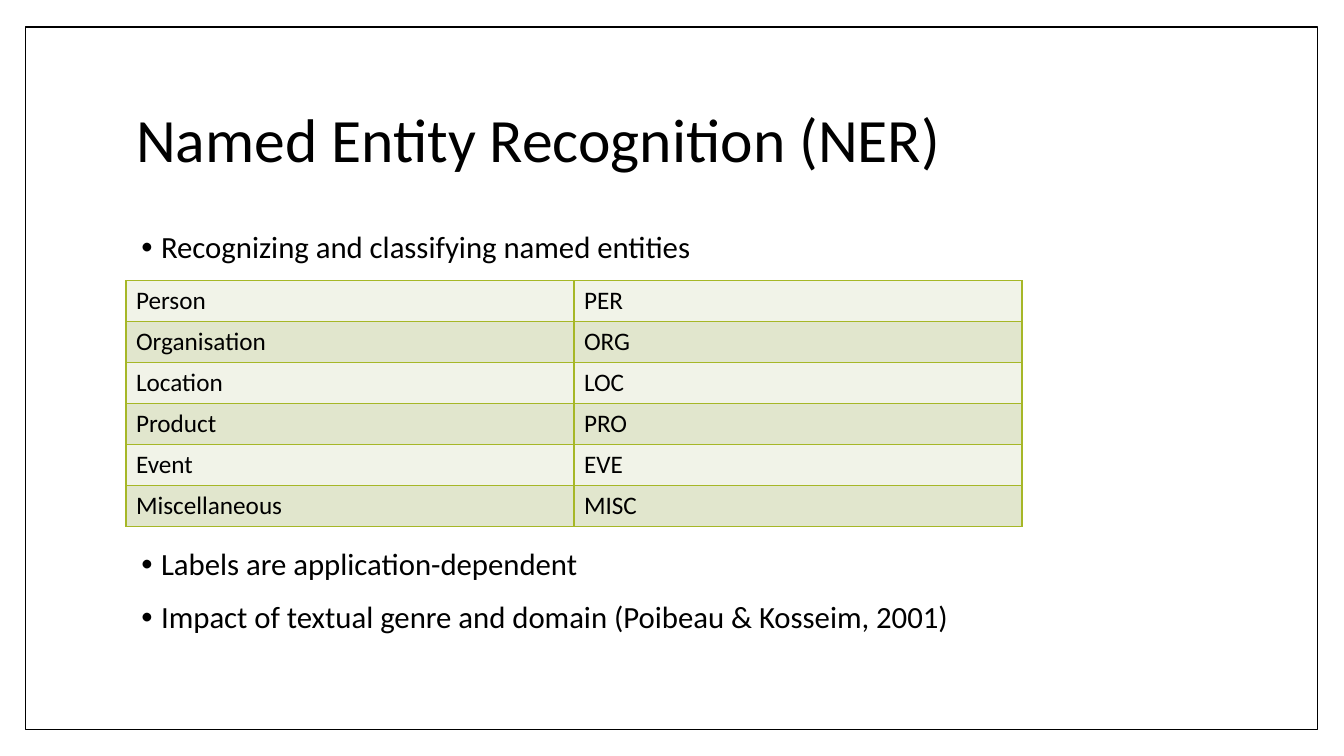
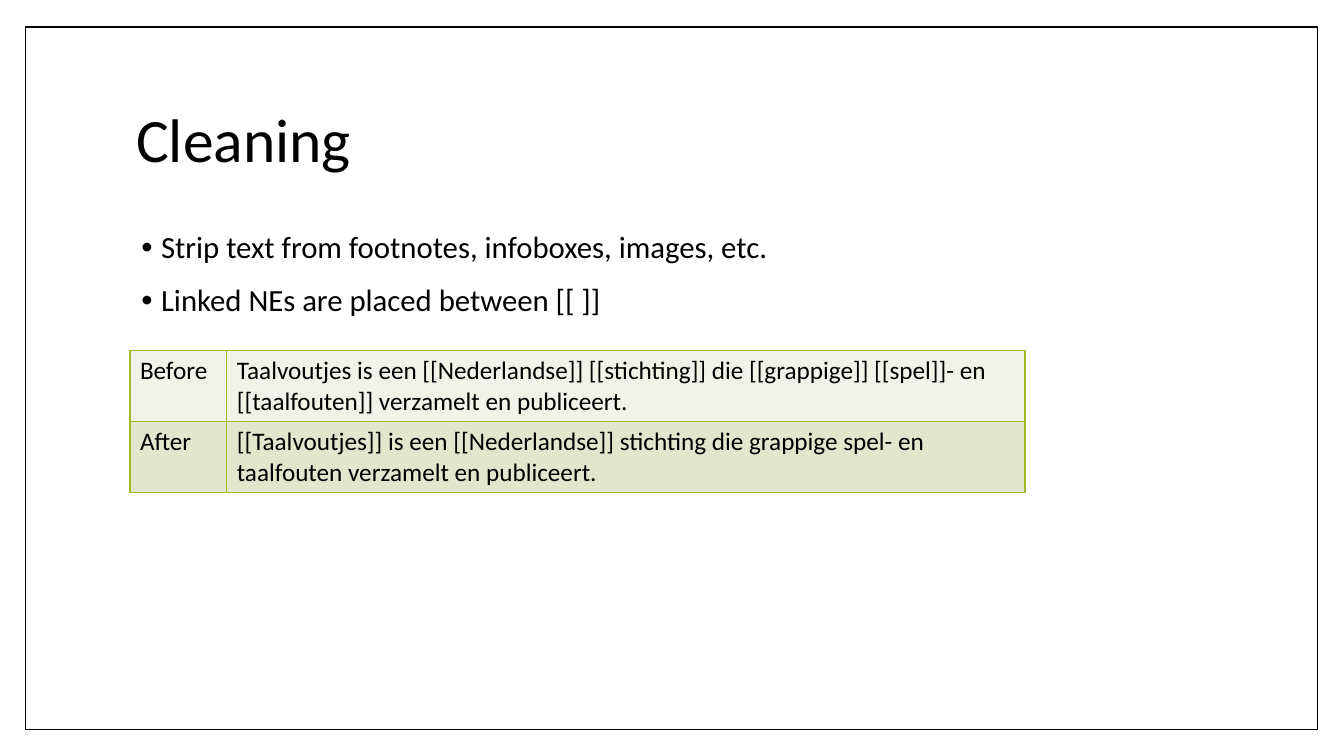
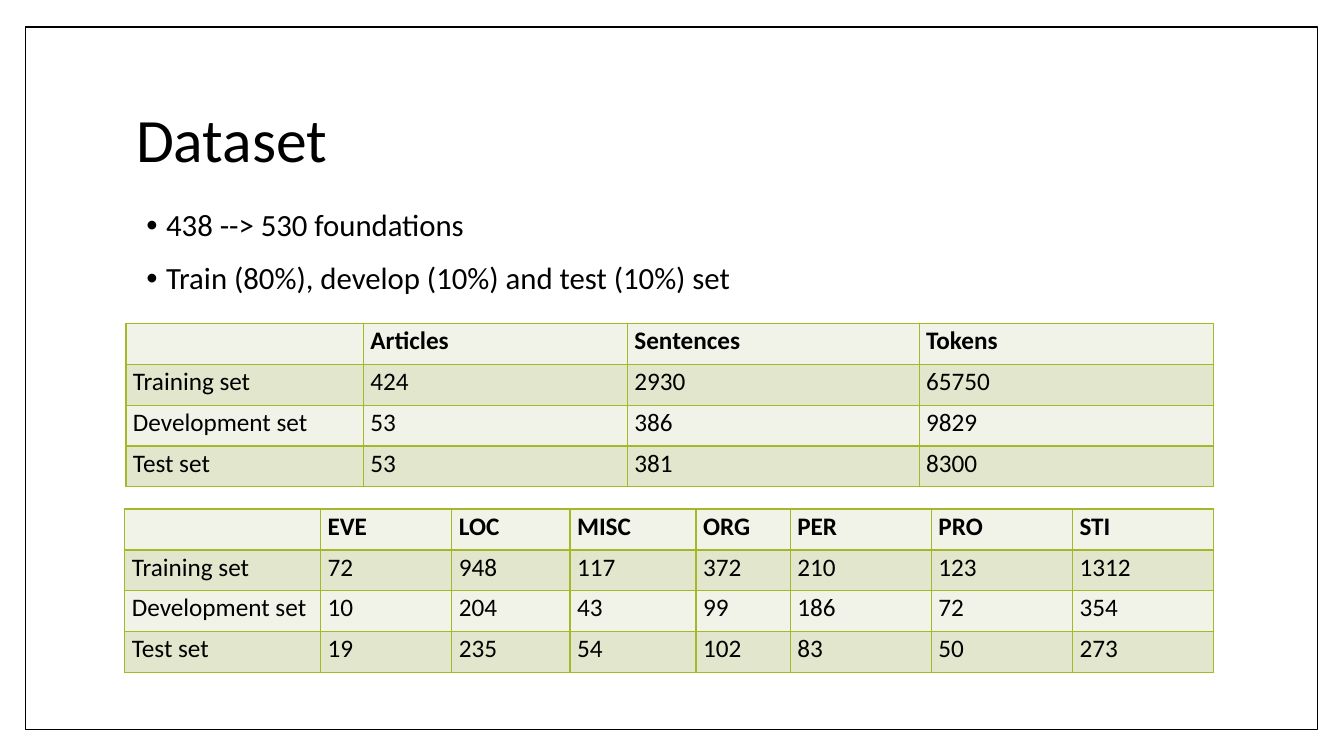
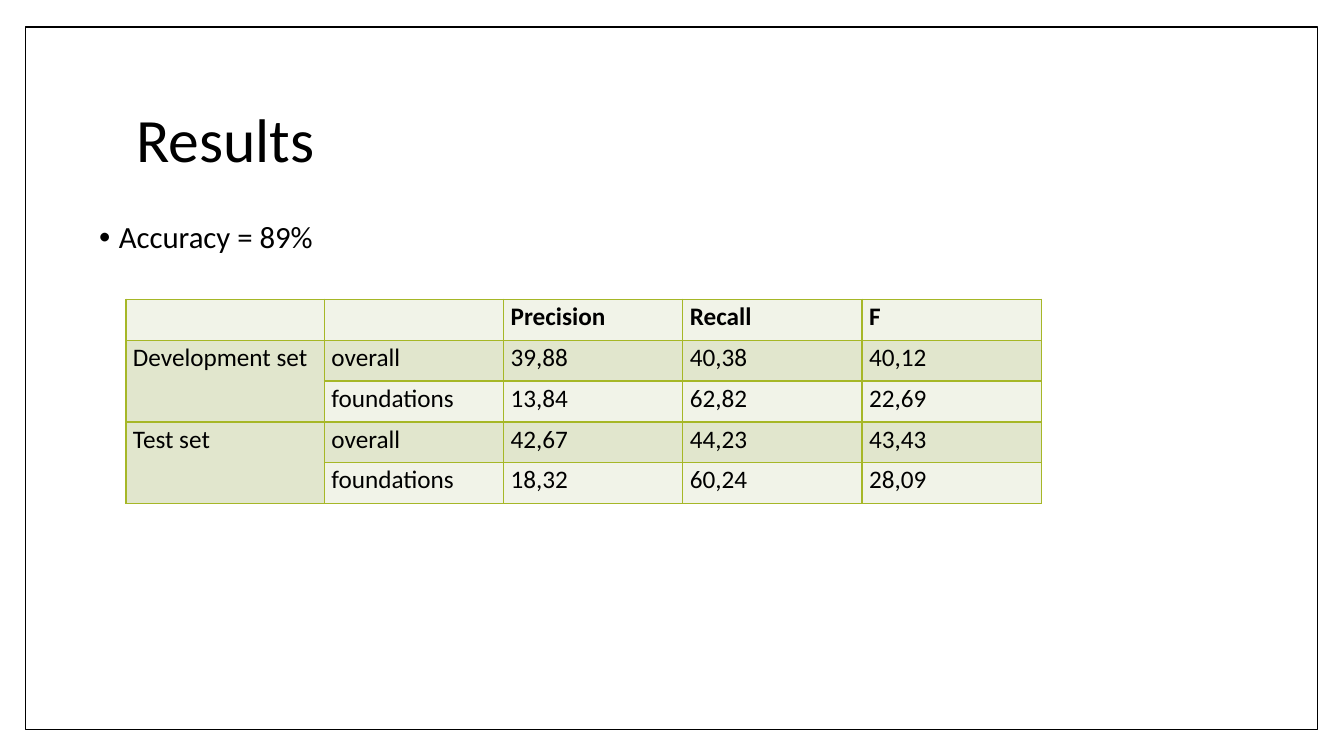
from lxml import etree
from pptx import Presentation
from pptx.dml.color import RGBColor
from pptx.enum.shapes import MSO_SHAPE
from pptx.enum.text import MSO_ANCHOR, PP_ALIGN
from pptx.oxml.ns import qn
from pptx.util import Pt

RECTANGLE = MSO_SHAPE.RECTANGLE
MIDDLE, TOP = MSO_ANCHOR.MIDDLE, MSO_ANCHOR.TOP
LEFT = PP_ALIGN.LEFT

COLOURS = {
    "text": "000000",
    "paper": "FFFFFF",
    "border": "A6B727",
    "light": "F1F3E8",
    "dark": "E1E6CD",
}
FONT = "Calibri"
TITLE_FONT = {"name": FONT, "size": Pt(44), "bold": False}
BULLET_FONT = {"name": FONT, "size": Pt(22)}
CELL_FONT = {"name": FONT, "size": Pt(18), "bold": False}
HEADER_FONT = {**CELL_FONT, "bold": True}

TITLE_PARAGRAPH = {"line_spacing": 0.9, "alignment": LEFT}
BULLET_PARAGRAPH = {"line_spacing": 0.9, "space_before": Pt(14)}
TIGHT_PARAGRAPH = {"line_spacing": 1.07, "space_after": Pt(8)}
TIGHT_CELL = {"margin_left": Pt(5), "margin_right": Pt(5),
              "margin_top": 0, "margin_bottom": 0}

CONTENT_LEFT, CONTENT_WIDTH = 90, 777.6
ROW_HEIGHT = 29.2


def colour(name):
    return RGBColor.from_string(COLOURS[name])


def set_values(target, values):
    for name, value in values.items():
        setattr(target, name, value)


def add_node(parent, tag, **attributes):
    node = etree.SubElement(parent, qn(tag))
    for name, value in attributes.items():
        node.set(name, str(value))
    return node


class Deck:
    """Holds the shared style and the current slide."""

    def __init__(self):
        self.presentation = Presentation()
        self.presentation.slide_width = Pt(960)
        self.presentation.slide_height = Pt(540)
        self.layout = self.presentation.slide_layouts.get_by_name("Title Only")
        self.slide = None

    def new_slide(self, heading):
        self.slide = self.presentation.slides.add_slide(self.layout)
        if len(self.presentation.slides) == 1:
            self.layout_frame()
        title = self.slide.shapes.title
        set_values(title, {"left": Pt(CONTENT_LEFT), "top": Pt(48.2),
                           "width": Pt(CONTENT_WIDTH), "height": Pt(106.6)})
        title.text_frame.vertical_anchor = MIDDLE
        self.add_text(title.text_frame.paragraphs[0], heading,
                      TITLE_FONT, TITLE_PARAGRAPH)

    def layout_frame(self):
        """Draw the page frame and move it behind the layout's title."""
        frame = self.slide.shapes.add_shape(
            RECTANGLE, Pt(18), Pt(19.4), Pt(923), Pt(501.8))
        frame.shadow.inherit = False
        frame.fill.solid()
        frame.fill.fore_color.rgb = colour("paper")
        frame.line.color.rgb = colour("text")
        frame.line.width = Pt(1)
        self.layout.placeholders[0].element.addprevious(frame.element)

    def add_text(self, paragraph, text, font, spacing):
        set_values(paragraph, spacing)
        run = paragraph.add_run()
        run.text = text
        set_values(run.font, font)
        run.font.color.rgb = colour("text")

    def bullets(self, lines, top, left=CONTENT_LEFT):
        box = self.slide.shapes.add_textbox(
            Pt(left), Pt(top), Pt(CONTENT_WIDTH), Pt(38 * len(lines)))
        frame = box.text_frame
        frame.word_wrap = True
        frame.vertical_anchor = TOP
        for index, line in enumerate(lines):
            paragraph = frame.add_paragraph() if index else frame.paragraphs[0]
            self.add_text(paragraph, line, BULLET_FONT, BULLET_PARAGRAPH)
            properties = paragraph._p.get_or_add_pPr()
            properties.set("marL", str(Pt(18)))
            properties.set("indent", str(-Pt(14.4)))
            add_node(add_node(properties, "a:buClr"), "a:srgbClr",
                     val=COLOURS["text"])
            add_node(properties, "a:buSzPct", val=80000)
            add_node(properties, "a:buFont", typeface=FONT)
            add_node(properties, "a:buChar", char="•")

    def borders(self, cell):
        properties = cell._tc.get_or_add_tcPr()
        for side in ("a:lnL", "a:lnR", "a:lnT", "a:lnB"):
            line = add_node(properties, side, w=Pt(1))
            add_node(add_node(line, "a:solidFill"), "a:srgbClr",
                     val=COLOURS["border"])

    def table(self, rows, widths, top, left=CONTENT_LEFT,
              row_height=ROW_HEIGHT, header=False, merged_rows=()):
        """Banded table; a header also brings the tight cell style."""
        table = self.slide.shapes.add_table(
            len(rows), len(widths), Pt(left), Pt(top),
            Pt(sum(widths)), Pt(row_height * len(rows))).table
        table.first_row = table.horz_banding = False
        for column, width in zip(table.columns, widths):
            column.width = Pt(width)
        for r, row in enumerate(rows):
            table.rows[r].height = Pt(row_height)
            for c, text in enumerate(row):
                cell = table.cell(r, c)
                self.borders(cell)
                cell.fill.solid()
                cell.fill.fore_color.rgb = colour("dark" if r % 2 else "light")
                if not text:
                    continue
                if header:
                    set_values(cell, TIGHT_CELL)
                self.add_text(cell.text_frame.paragraphs[0], text,
                              HEADER_FONT if header and r == 0 else CELL_FONT,
                              TIGHT_PARAGRAPH if header else {})
        for r in merged_rows:
            table.cell(r, 0).merge(table.cell(r + 1, 0))


def main():
    deck = Deck()

    # Entity labels
    deck.new_slide("Named Entity Recognition (NER)")
    deck.bullets(["Recognizing and classifying named entities"], 162)
    labels = [
        ("Person", "PER"),
        ("Organisation", "ORG"),
        ("Location", "LOC"),
        ("Product", "PRO"),
        ("Event", "EVE"),
        ("Miscellaneous", "MISC"),
    ]
    deck.table(labels, [320, 320], 200.6)
    deck.bullets(["Labels are application-dependent",
                  "Impact of textual genre and domain (Poibeau & Kosseim, 2001)"],
                 388.4)

    # Cleaning example
    deck.new_slide("Cleaning")
    deck.bullets(["Strip text from footnotes, infoboxes, images, etc.",
                  "Linked NEs are placed between [[ ]]"], 162)
    example = [
        ("Before", "Taalvoutjes is een [[Nederlandse]] [[stichting]] die "
                   "[[grappige]] [[spel]]- en [[taalfouten]] verzamelt en publiceert."),
        ("After", "[[Taalvoutjes]] is een [[Nederlandse]] stichting die "
                  "grappige spel- en taalfouten verzamelt en publiceert."),
    ]
    deck.table(example, [69.2, 570.2], 250.4, left=92.8, row_height=50.8)

    # Dataset sizes and entity counts
    deck.new_slide("Dataset")
    deck.bullets(["438 --> 530 foundations",
                  "Train (80%), develop (10%) and test (10%) set"],
                 146.2, left=93.6)
    sizes = [
        ("", "Articles", "Sentences", "Tokens"),
        ("Training set", "424", "2930", "65750"),
        ("Development set", "53", "386", "9829"),
        ("Test set", "53", "381", "8300"),
    ]
    deck.table(sizes, [169.6, 188.6, 208.4, 210.2], 231, header=True)
    counts = [
        ("", "EVE", "LOC", "MISC", "ORG", "PER", "PRO", "STI"),
        ("Training set", "72", "948", "117", "372", "210", "123", "1312"),
        ("Development set", "10", "204", "43", "99", "186", "72", "354"),
        ("Test set", "19", "235", "54", "102", "83", "50", "273"),
    ]
    deck.table(counts, [139.8, 93.8, 84.4, 90, 67.4, 100.8, 100.8, 100.8],
               363.6, left=89.2, header=True)

    # Scores
    deck.new_slide("Results")
    deck.bullets(["Accuracy = 89%"], 154.8, left=59.8)
    scores = [
        ("", "", "Precision", "Recall", "F"),
        ("Development set", "overall", "39,88", "40,38", "40,12"),
        ("", "foundations", "13,84", "62,82", "22,69"),
        ("Test set", "overall", "42,67", "44,23", "43,43"),
        ("", "foundations", "18,32", "60,24", "28,09"),
    ]
    deck.table(scores, [141.8] + [128] * 4, 213.8, header=True,
               merged_rows=(1, 3))

    deck.presentation.save("out.pptx")


if __name__ == "__main__":
    main()
